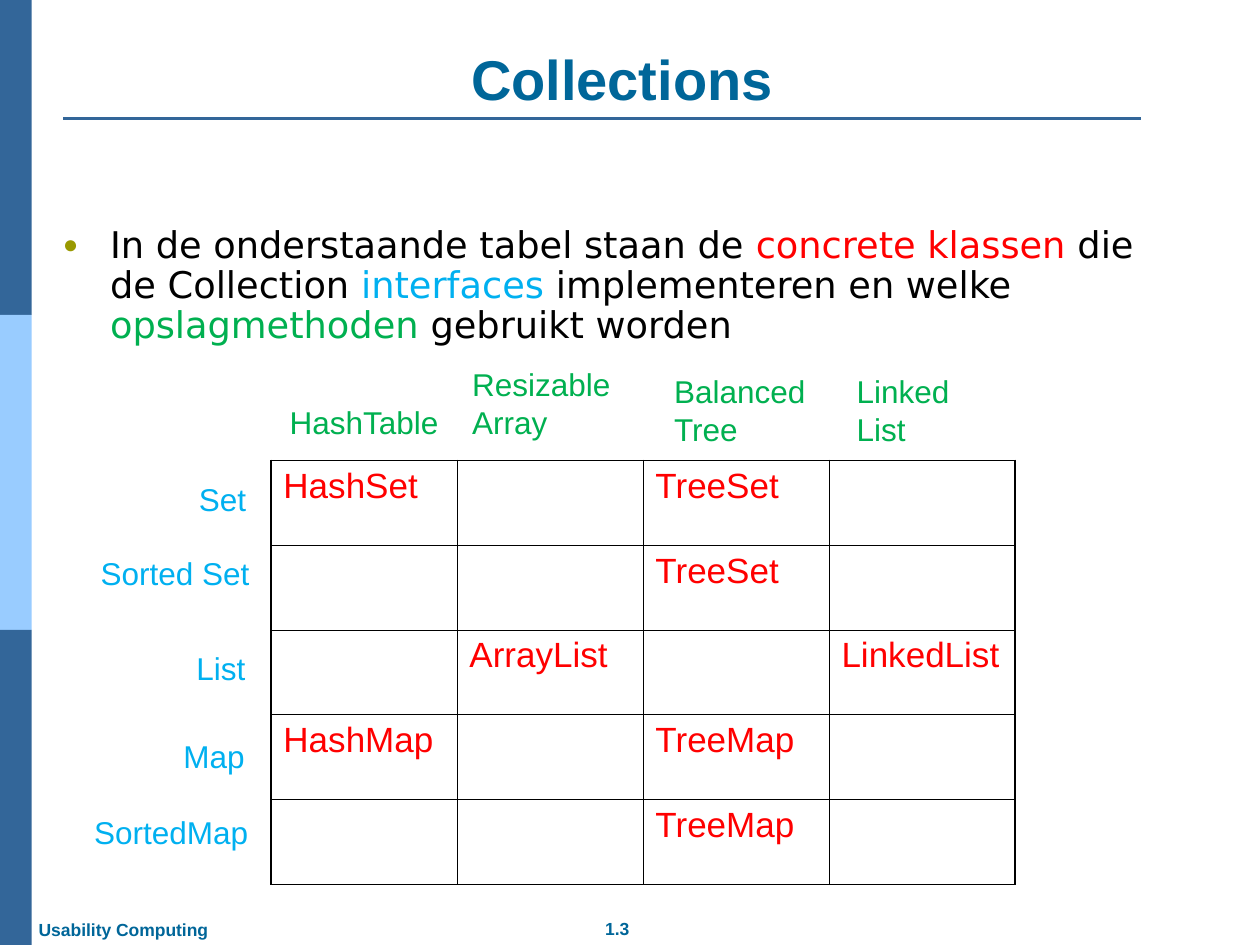
from dataclasses import dataclass

from lxml import etree
from pptx import Presentation
from pptx.dml.color import RGBColor
from pptx.enum.shapes import MSO_CONNECTOR, MSO_SHAPE
from pptx.enum.text import MSO_ANCHOR, MSO_AUTO_SIZE, PP_ALIGN
from pptx.oxml.ns import qn
from pptx.util import Cm, Pt

RECTANGLE = MSO_SHAPE.RECTANGLE
STRAIGHT = MSO_CONNECTOR.STRAIGHT
LEFT, CENTER = PP_ALIGN.LEFT, PP_ALIGN.CENTER
TOP, BOTTOM = MSO_ANCHOR.TOP, MSO_ANCHOR.BOTTOM
GROW, FIXED = MSO_AUTO_SIZE.SHAPE_TO_FIT_TEXT, MSO_AUTO_SIZE.NONE


@dataclass(frozen=True)
class Theme:
    heading: str = "006699"
    dark_band: str = "336699"
    light_band: str = "99CCFF"
    bullet: str = "999900"
    text: str = "000000"
    concrete: str = "FF0000"
    interface: str = "00B0F0"
    storage: str = "00B050"
    font: str = "Arial"
    body_font: str = "DejaVu Sans"
    title_size: float = 32
    body_size: float = 21
    cell_size: float = 20
    label_size: float = 18
    footer_size: float = 10
    outer_border: float = 1.08
    inner_border: float = 0.45


THEME = Theme()

TITLE = "Collections "
FOOTERS = [
    ("1.3", (11.2, 18.38, 2.49, 0.69), CENTER),
    ("Usability Computing", (0.53, 18.4, 3.95, 0.69), LEFT),
]
INTRO = [
    ("In de onderstaande tabel staan de ", THEME.text),
    ("concrete klassen ", THEME.concrete),
    ("die de Collection ", THEME.text),
    ("interfaces ", THEME.interface),
    ("implementeren en welke ", THEME.text),
    ("opslagmethoden ", THEME.storage),
    ("gebruikt worden", THEME.text),
]
CLASSES = [
    ["HashSet", "", "TreeSet", ""],
    ["", "", "TreeSet", ""],
    ["", "ArrayList", "", "LinkedList"],
    ["HashMap", "", "TreeMap", ""],
    ["", "", "TreeMap", ""],
]
INTERFACES = [
    ("Set", (3.76, 9.55, 1.5, 1.02)),
    ("Sorted Set", (1.78, 11.05, 3.53, 1.02)),
    ("List", (3.71, 12.95, 1.53, 1.02)),
    ("Map", (3.45, 14.73, 1.78, 1.02)),
    ("SortedMap", (1.65, 16.26, 3.63, 1.02)),
]
STORAGE_METHODS = [
    ("HashTable", (5.59, 8, 3.58, 1.02), False),
    ("Resizable\nArray", (9.27, 7.24, 3.3, 1.78), False),
    ("Balanced Tree", (13.34, 7.37, 3.18, 1.78), True),
    ("Linked List", (17.02, 7.37, 2.41, 1.78), True),
]

BAND_WIDTH, BAND_HEIGHT = 0.64, 6.35
TABLE_LEFT, TABLE_TOP = 5.46, 9.28
COLUMN_WIDTH, ROW_HEIGHT = 3.75, 1.71


def style(font, size, color, name=THEME.font, bold=False):
    font.size = Pt(size)
    font.name = name
    font.bold = bold
    font.color.rgb = RGBColor.from_string(color)


def add_text(slide, text, area, size, color, align=LEFT, anchor=TOP, bold=False, wrap=False):
    box = slide.shapes.add_textbox(*map(Cm, area))
    frame = box.text_frame
    frame.word_wrap = wrap
    frame.auto_size = FIXED if wrap else GROW
    frame.vertical_anchor = anchor
    frame.text = text
    for para in frame.paragraphs:
        para.alignment = align
        for span in para.runs:
            style(span.font, size, color, bold=bold)


def add_bands(slide):
    for index, color in enumerate([THEME.dark_band, THEME.light_band, THEME.dark_band]):
        band = slide.shapes.add_shape(
            RECTANGLE, 0, Cm(index * BAND_HEIGHT), Cm(BAND_WIDTH), Cm(BAND_HEIGHT)
        )
        band.shadow.inherit = False
        band.fill.solid()
        band.fill.fore_color.rgb = RGBColor.from_string(color)
        band.line.fill.background()


def add_title_rule(slide):
    rule = slide.shapes.add_connector(STRAIGHT, Cm(1.27), Cm(2.39), Cm(23.01), Cm(2.39))
    rule.line.color.rgb = RGBColor.from_string(THEME.dark_band)
    rule.line.width = Pt(1.5)
    etree.SubElement(rule._element.spPr, qn("a:effectLst"))


def add_intro(slide):
    box = slide.shapes.add_textbox(Cm(1.02), Cm(4.45), Cm(22.86), Cm(3.35))
    box.text_frame.word_wrap = True
    para = box.text_frame.paragraphs[0]
    para.line_spacing = 0.9
    props = para._p.get_or_add_pPr()
    props.set("marL", str(Cm(0.95)))
    props.set("indent", str(-Cm(0.95)))
    bullet_color = etree.SubElement(props, qn("a:buClr"))
    etree.SubElement(bullet_color, qn("a:srgbClr"), val=THEME.bullet)
    etree.SubElement(props, qn("a:buSzPct"), val="70000")
    etree.SubElement(props, qn("a:buFont"), typeface=THEME.font)
    etree.SubElement(props, qn("a:buChar"), char="●")
    for text, color in INTRO:
        span = para.add_run()
        span.text = text
        style(span.font, THEME.body_size, color, THEME.body_font)


def set_borders(cell, outer_sides):
    props = cell._tc.get_or_add_tcPr()
    for side, is_outer in outer_sides.items():
        width = THEME.outer_border if is_outer else THEME.inner_border
        border = etree.SubElement(props, qn(f"a:ln{side}"), w=str(Pt(width)))
        fill = etree.SubElement(border, qn("a:solidFill"))
        etree.SubElement(fill, qn("a:srgbClr"), val=THEME.text)


def add_class_table(slide):
    row_count, column_count = len(CLASSES), len(CLASSES[0])
    table = slide.shapes.add_table(
        row_count, column_count, Cm(TABLE_LEFT), Cm(TABLE_TOP),
        Cm(column_count * COLUMN_WIDTH), Cm(row_count * ROW_HEIGHT),
    ).table
    table.first_row = False
    table.horz_banding = False
    for column in table.columns:
        column.width = Cm(COLUMN_WIDTH)
    for r, names in enumerate(CLASSES):
        table.rows[r].height = Cm(ROW_HEIGHT)
        for c, name in enumerate(names):
            cell = table.cell(r, c)
            set_borders(cell, {
                "L": c == 0,
                "R": c == column_count - 1,
                "T": r == 0,
                "B": r == row_count - 1,
            })
            cell.fill.background()
            if name:
                cell.text_frame.text = name
                style(cell.text_frame.paragraphs[0].runs[0].font, THEME.cell_size, THEME.concrete)


def main():
    deck = Presentation()
    deck.slide_width, deck.slide_height = Cm(25.4), Cm(19.05)
    page = deck.slides.add_slide(deck.slide_layouts[6])
    add_bands(page)
    add_title_rule(page)
    for text, area, align in FOOTERS:
        add_text(page, text, area, THEME.footer_size, THEME.heading, align, bold=True)
    add_text(page, TITLE, (1.27, 0.78, 22.86, 1.6), THEME.title_size, THEME.heading,
             CENTER, BOTTOM, bold=True, wrap=True)
    add_class_table(page)
    add_intro(page)
    for text, area in INTERFACES:
        add_text(page, text, area, THEME.label_size, THEME.interface)
    for text, area, wrap in STORAGE_METHODS:
        add_text(page, text, area, THEME.label_size, THEME.storage, wrap=wrap)
    deck.save("out.pptx")


if __name__ == "__main__":
    main()
